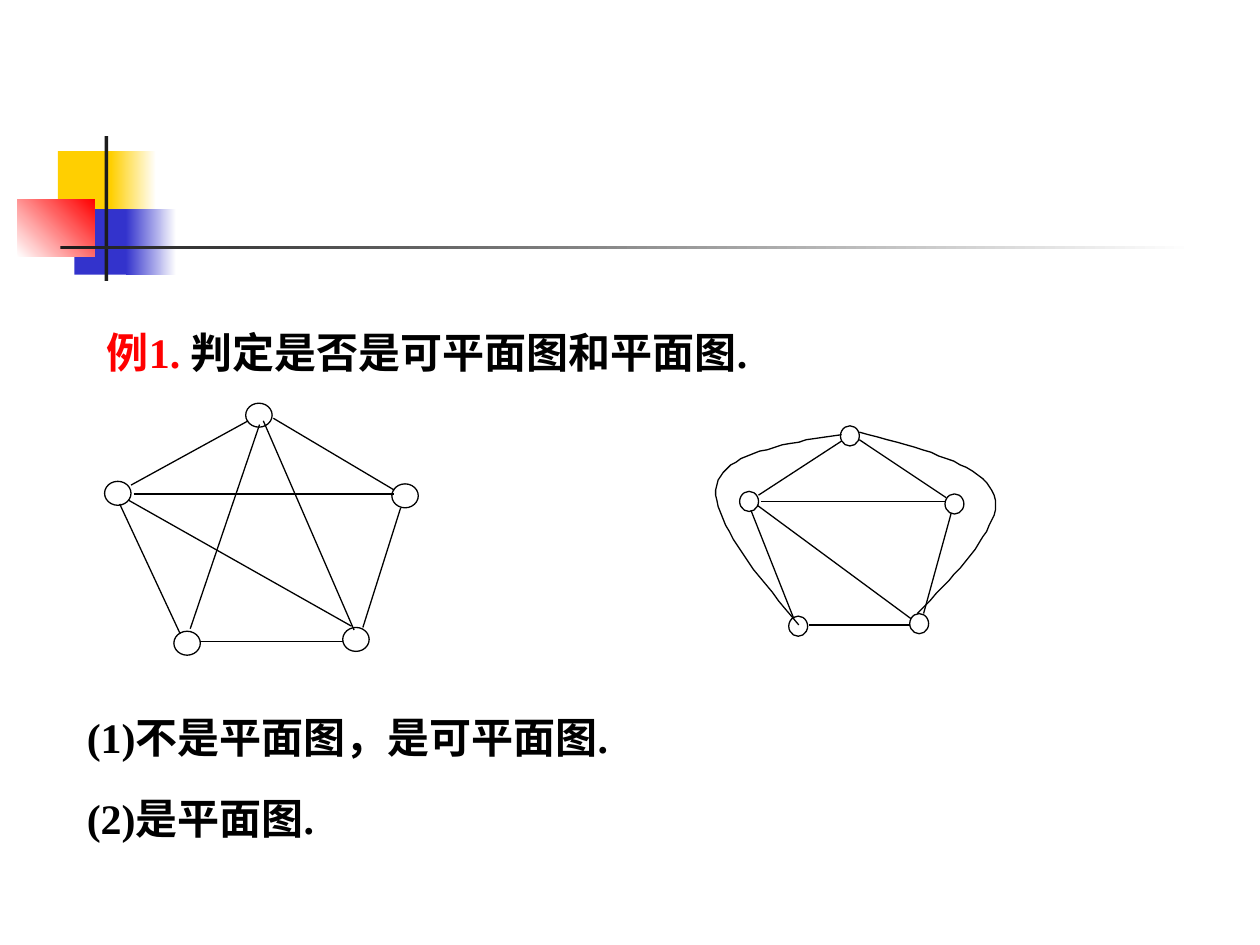
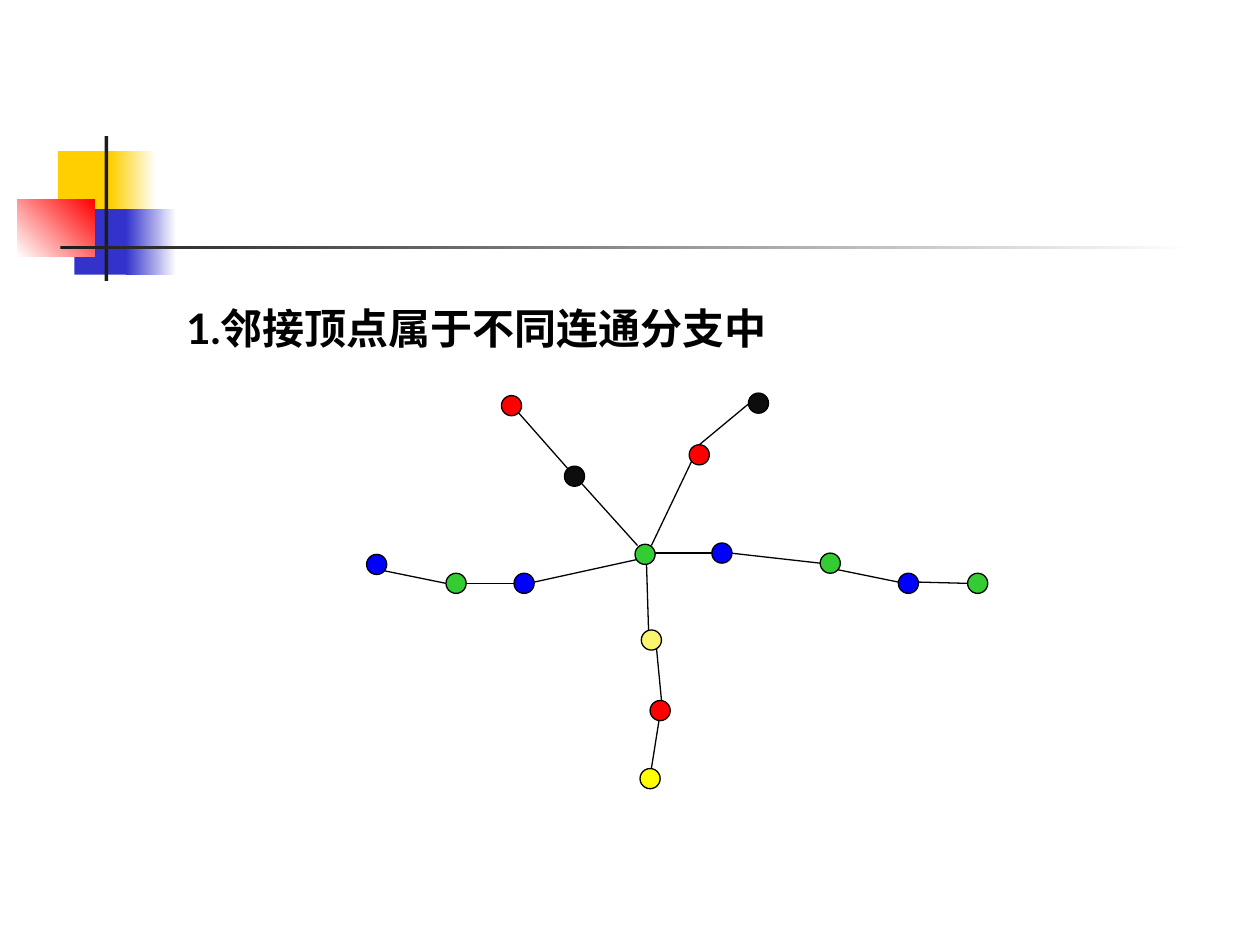
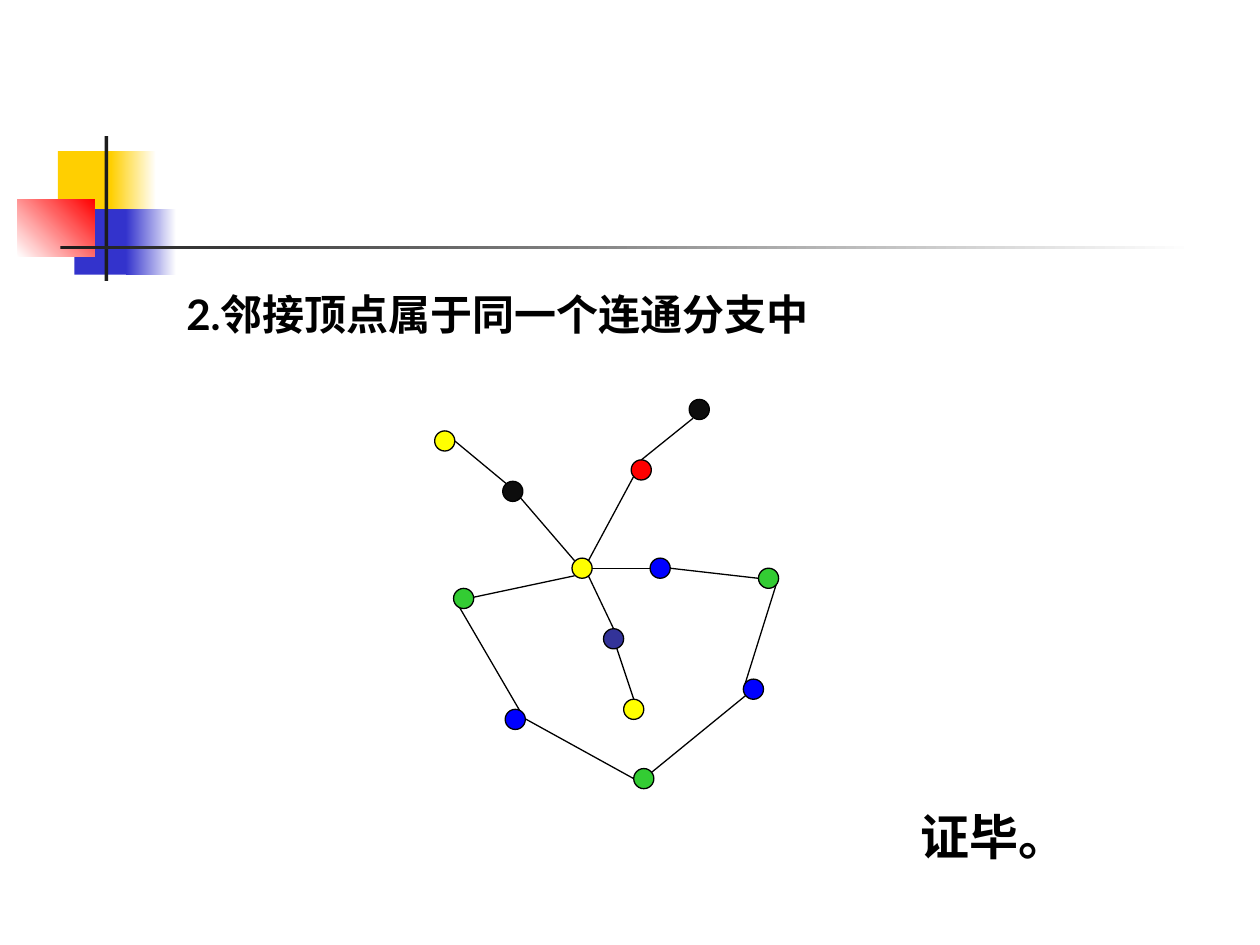
"""Build three slides on planar graphs and the colouring of a vertex's neighbours."""
from dataclasses import dataclass

from lxml.etree import SubElement
from pptx import Presentation
from pptx.dml.color import RGBColor
from pptx.enum.shapes import MSO_CONNECTOR, MSO_SHAPE
from pptx.enum.text import MSO_AUTO_SIZE
from pptx.oxml.ns import qn
from pptx.util import Pt

PX = 9144


@dataclass(frozen=True)
class Theme:
    black: str = "000000"
    white: str = "FFFFFF"
    ink: str = "1C1C1C"
    gold: str = "FFCF01"
    indigo: str = "3333CC"
    red: str = "FF0000"
    blue: str = "0000FF"
    green: str = "33CC33"
    yellow: str = "FFFF00"
    pale_yellow: str = "FAF56F"
    navy: str = "333399"
    charcoal: str = "0D0D0D"
    serif: str = "Times New Roman"
    sans: str = "Lato"
    chinese: str = "Noto Sans CJK SC"
    body_size: int = 24
    closing_size: int = 28
    line_width: float = 0.75


theme = Theme()


def add_text(slide, box, paragraphs, font=theme.sans, size=theme.body_size,
             line_spacing=None, space_before=0, wrap=True):
    """Add a text box; each paragraph is a list of (text, colour) runs."""
    text_box = slide.shapes.add_textbox(*(length * PX for length in box))
    frame = text_box.text_frame
    frame.word_wrap = wrap
    frame.auto_size = MSO_AUTO_SIZE.SHAPE_TO_FIT_TEXT
    for index, runs in enumerate(paragraphs):
        paragraph = frame.add_paragraph() if index else frame.paragraphs[0]
        paragraph.line_spacing = line_spacing
        if index:
            paragraph.space_before = Pt(space_before)
        for text, color in runs:
            run = paragraph.add_run()
            run.text = text
            run.font.size = Pt(size)
            run.font.bold = True
            run.font.color.rgb = RGBColor.from_string(color)
            run.font.name = font
            SubElement(run._r.get_or_add_rPr(), qn("a:ea"), typeface=theme.chinese)


def add_filled(shapes, kind, box, colors, angle=0, outline=None):
    """Add a preset shape filled with one colour or a two-colour gradient."""
    shape = shapes.add_shape(kind, *(length * PX for length in box))
    shape.shadow.inherit = False
    if len(colors) == 1:
        shape.fill.solid()
        shape.fill.fore_color.rgb = RGBColor.from_string(colors[0])
    else:
        shape.fill.gradient()
        shape.fill.gradient_angle = angle
        for stop, color in zip(shape.fill.gradient_stops, colors):
            stop.color.rgb = RGBColor.from_string(color)
    if outline:
        shape.line.color.rgb = RGBColor.from_string(outline)
        shape.line.width = Pt(theme.line_width)
    else:
        shape.line.fill.background()


presentation = Presentation()
presentation.slide_width = 1000 * PX
presentation.slide_height = 750 * PX

header = [
    ((46, 120, 48, 52), [theme.gold], 0),
    ((88, 120, 36, 52), [theme.gold, theme.white], 0),
    ((59, 166, 46, 52), [theme.indigo], 0),
    ((100, 166, 40, 52), [theme.indigo, theme.white], 0),
    ((14, 158, 61, 46), [theme.white, theme.red], 45),
    ((83, 108, 3, 115), [theme.ink], 0),
    ((48, 195, 900, 3), [theme.ink, theme.white], 0),
]
slides = [presentation.slides.add_slide(presentation.slide_layouts[6]) for _ in range(3)]
for slide in slides:
    for box, colors, angle in header:
        add_filled(slide.shapes, MSO_SHAPE.RECTANGLE, box, colors, angle)
planarity, separate_branches, same_branch = slides

crossing_graph = planarity.shapes.add_group_shape().shapes
planar_graph = planarity.shapes.add_group_shape().shapes

crossing_vertices = {theme.white: [(195, 320), (83, 382), (138, 501), (272, 498), (311, 384)]}
crossing_edges = [
    (106, 392, 313, 392), (159, 509, 272, 509), (197, 334, 104, 385),
    (217, 332, 313, 389), (95, 400, 143, 503), (318, 403, 288, 498),
    (206, 337, 151, 499), (209, 334, 281, 500), (102, 397, 279, 497),
]
planar_vertices = {theme.white: [(667, 338), (587, 390), (626, 489), (722, 487), (750, 392)]}
planar_edges = [
    (604, 398, 751, 398), (642, 496, 722, 496), (668, 350, 602, 393),
    (682, 349, 751, 395), (596, 405, 630, 491), (755, 407, 733, 487),
    (601, 401, 723, 491),
]
separate_vertices = {
    theme.red: [(547, 353), (516, 556), (398, 314)],
    theme.blue: [(565, 431), (713, 455), (408, 455), (291, 440)],
    theme.green: [(768, 455), (651, 439), (354, 455), (504, 432)],
    theme.charcoal: [(448, 370), (594, 312)],
    theme.yellow: [(508, 610)],
    theme.pale_yellow: [(509, 500)],
}
separate_edges = [
    (517, 433, 549, 366), (506, 433, 461, 383), (424, 462, 506, 444),
    (513, 444, 515, 509), (519, 439, 565, 439), (729, 462, 768, 463),
    (664, 452, 713, 462), (580, 439, 651, 447), (555, 353, 596, 319),
    (523, 572, 517, 610), (521, 514, 525, 556), (369, 463, 408, 463),
    (305, 453, 354, 463), (456, 378, 411, 327),
]
same_vertices = {
    theme.red: [(501, 365)],
    theme.blue: [(516, 443), (401, 563), (590, 539)],
    theme.green: [(360, 467), (503, 610), (602, 451)],
    theme.charcoal: [(399, 382), (547, 317)],
    theme.yellow: [(345, 342), (495, 555), (454, 443)],
    theme.navy: [(479, 499)],
}
same_edges = [
    (487, 507, 503, 555), (598, 547, 511, 618), (467, 445, 503, 378),
    (456, 445, 413, 395), (376, 474, 456, 457), (467, 457, 487, 499),
    (470, 451, 516, 451), (416, 570, 360, 474), (503, 618, 416, 570),
    (616, 464, 590, 547), (532, 451, 602, 459), (408, 389, 361, 350),
    (509, 365, 550, 332),
]

layers = [
    (crossing_graph, [], crossing_vertices, (21, 19)),
    (crossing_graph, crossing_edges, {}, None),
    (planar_graph, [], planar_vertices, (15, 16)),
    (planar_graph, planar_edges, {}, None),
    (separate_branches.shapes, separate_edges, separate_vertices, (16, 16)),
    (same_branch.shapes, same_edges, same_vertices, (16, 16)),
]
for shapes, edges, vertices, vertex_size in layers:
    for edge in edges:
        connector = shapes.add_connector(MSO_CONNECTOR.STRAIGHT, *(length * PX for length in edge))
        connector.line.color.rgb = RGBColor.from_string(theme.black)
        connector.line.width = Pt(theme.line_width)
        SubElement(connector.element.spPr, qn("a:effectLst"))
    for color, corners in vertices.items():
        for corner in corners:
            add_filled(shapes, MSO_SHAPE.OVAL, corner + vertex_size, [color], outline=theme.black)

outer_edges = [
    [(668, 345), (621, 352), (575, 360), (569, 385), (563, 410), (598, 453), (634, 496)],
    [(682, 343), (732, 356), (781, 369), (789, 393), (796, 417), (762, 452), (728, 487)],
]
STEPS = 20
for controls in outer_edges:
    points = []
    for first in (0, 3):
        for step in range(1, STEPS + 1):
            t = step / STEPS
            weights = ((1 - t) ** 3, 3 * t * (1 - t) ** 2, 3 * t ** 2 * (1 - t), t ** 3)
            points.append(tuple(
                sum(weight * control[axis] for weight, control in zip(weights, controls[first:first + 4]))
                for axis in (0, 1)))
    builder = planar_graph.build_freeform(*controls[0], scale=PX)
    builder.add_line_segments(points, close=False)
    curve = builder.convert_to_shape()
    curve.shadow.inherit = False
    curve.fill.background()
    curve.line.color.rgb = RGBColor.from_string(theme.black)
    curve.line.width = Pt(theme.line_width)

add_text(planarity, (75, 242, 875, 62),
         [[("例1. ", theme.red), ("判定是否是可平面图和平面图.", theme.black)]],
         font=theme.serif, line_spacing=1.3)
add_text(planarity, (59, 548, 875, 127),
         [[("(1)不是平面图，是可平面图.", theme.black)], [("(2)是平面图.", theme.black)]],
         font=theme.serif, line_spacing=1.3, space_before=9)
add_text(separate_branches, (138, 235, 795, 50), [[("1.邻接顶点属于不同连通分支中", theme.black)]])
add_text(same_branch, (138, 224, 795, 50), [[("2.邻接顶点属于同一个连通分支中", theme.black)]])
add_text(same_branch, (721, 635, 136, 57), [[("证毕。", theme.black)]],
         font=theme.chinese, size=theme.closing_size, wrap=False)

presentation.save("out.pptx")
